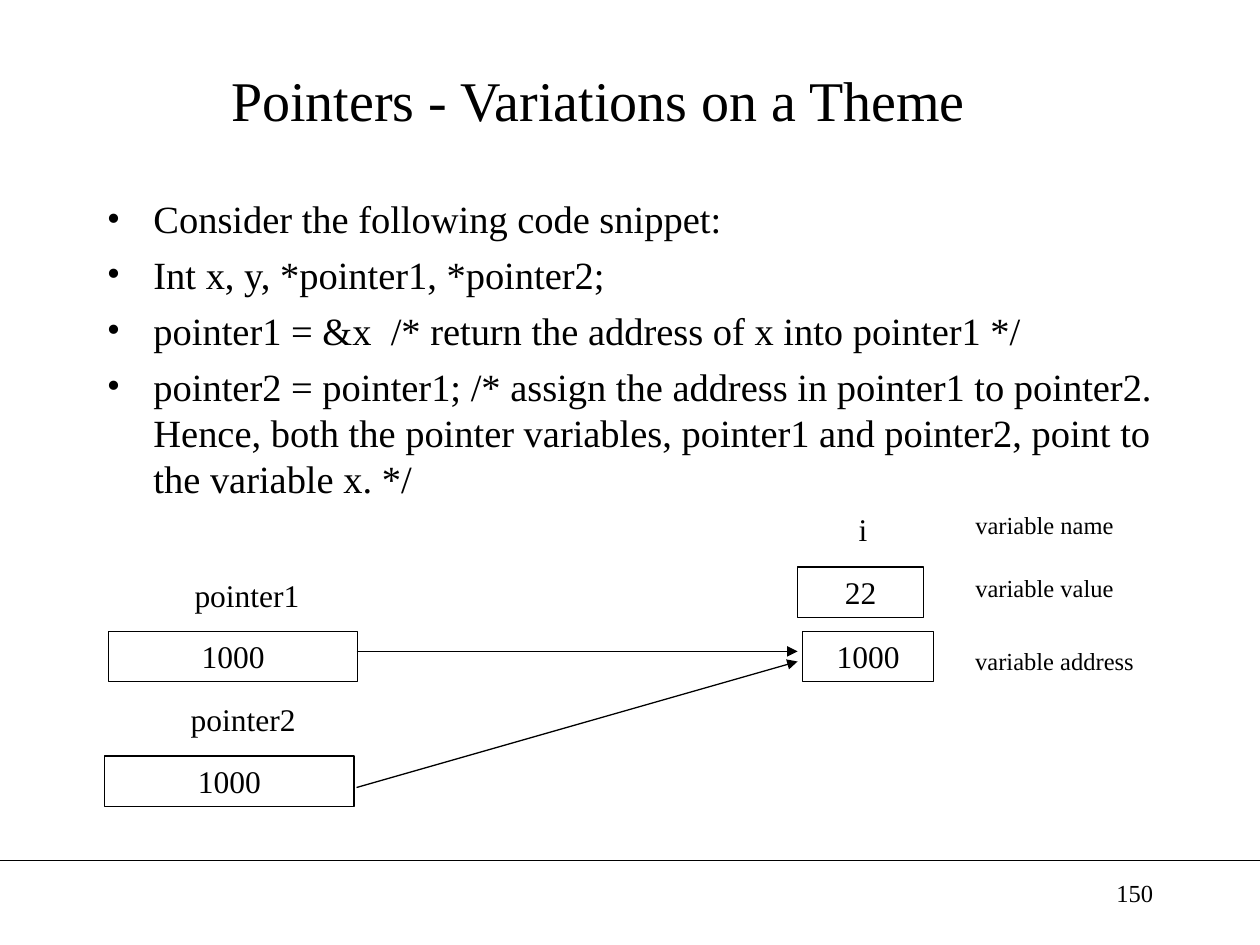
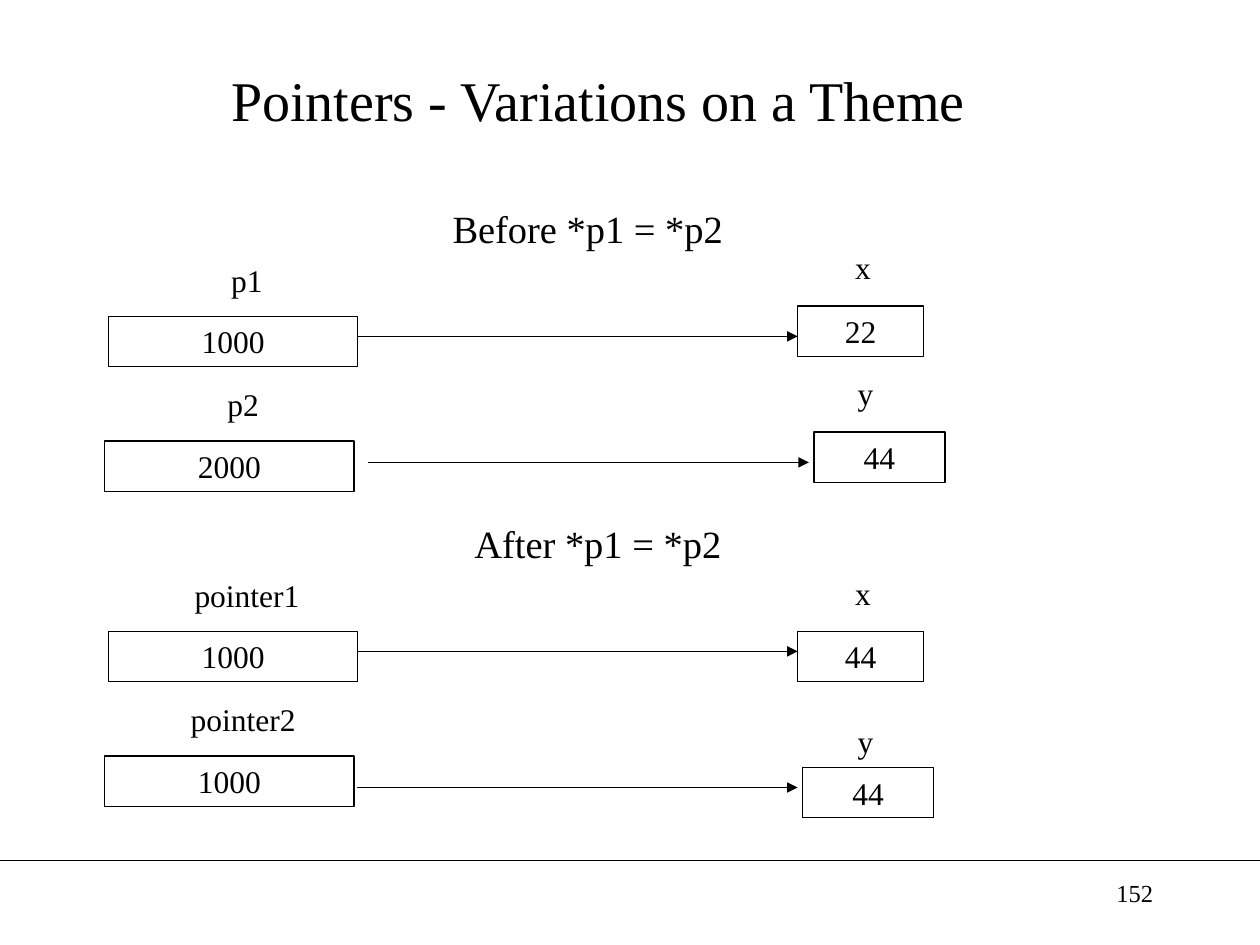
from pptx import Presentation
from pptx.dml.color import RGBColor
from pptx.enum.shapes import MSO_CONNECTOR, MSO_SHAPE
from pptx.enum.text import MSO_ANCHOR, PP_ALIGN
from pptx.oxml.ns import qn
from pptx.util import Inches, Pt
from lxml import etree

LINE = MSO_CONNECTOR.STRAIGHT
RECT = MSO_SHAPE.RECTANGLE
TOP, MIDDLE = MSO_ANCHOR.TOP, MSO_ANCHOR.MIDDLE
LEFT, CENTER, RIGHT = PP_ALIGN.LEFT, PP_ALIGN.CENTER, PP_ALIGN.RIGHT

# Shared style
FONT = "Times New Roman"
INK = "000000"
TITLE = "Pointers - Variations on a Theme"
TITLE_SIZE, BODY_SIZE, CELL_SIZE, NOTE_SIZE = 32, 22, 18, 14
CELL_H = 0.4
CELL_W = 1.98
HANG = 0.37

CODE = [
    "Consider the following code snippet:",
    "Int x, y, *pointer1, *pointer2;",
    "pointer1 = &x  /* return the address of x into pointer1 */",
    "pointer2 = pointer1; /* assign the address in pointer1 to pointer2. "
    "Hence, both the pointer variables, pointer1 and pointer2, "
    "point to the variable x. */",
]


def color(code):
    return RGBColor.from_string(code)


def box(at):
    return [Inches(n) for n in at]


def style(para, size, align):
    para.alignment = align
    para.font.name = FONT
    para.font.size = Pt(size)
    para.font.color.rgb = color(INK)


def fill_text(shape, text, size, align=CENTER, anchor=TOP):
    frame = shape.text_frame
    frame.word_wrap = True
    frame.vertical_anchor = anchor
    frame.text = text
    style(frame.paragraphs[0], size, align)


def add_text(slide, at, text, size, align=CENTER, anchor=TOP):
    shape = slide.shapes.add_textbox(*box(at))
    fill_text(shape, text, size, align, anchor)


def add_cell(slide, at, text):
    shape = slide.shapes.add_shape(RECT, *box(at))
    shape.shadow.inherit = False
    shape.fill.background()
    shape.line.color.rgb = color(INK)
    shape.line.width = Pt(0.75)
    fill_text(shape, text, CELL_SIZE, CENTER, MIDDLE)


def add_line(slide, start, end, arrow=False):
    line = slide.shapes.add_connector(LINE, *box(start + end))
    line.line.color.rgb = color(INK)
    line.line.width = Pt(0.75)
    props = line._element.spPr
    if arrow:
        etree.SubElement(props.find(qn("a:ln")), qn("a:tailEnd"), type="triangle")
    etree.SubElement(props, qn("a:effectLst"))


def add_name(slide, mid, top, width, text):
    add_text(slide, (mid - width / 2, top, width, CELL_H), text,
             CELL_SIZE, CENTER, MIDDLE)


def add_pointer(slide, left, top, name, value):
    add_name(slide, left + 1.1, top - 0.49, 1.78, name)
    add_cell(slide, (left, top, CELL_W, CELL_H), value)


def add_target(slide, left, top, width, value):
    add_cell(slide, (left, top, width, CELL_H), value)


def add_bullets(slide, at, items):
    frame = slide.shapes.add_textbox(*box(at)).text_frame
    frame.word_wrap = True
    for i, item in enumerate(items):
        para = frame.add_paragraph() if i else frame.paragraphs[0]
        para.text = item
        props = para._p.get_or_add_pPr()
        props.set("marL", str(Inches(HANG)))
        props.set("indent", str(-Inches(HANG)))
        etree.SubElement(props, qn("a:buFont"), typeface=FONT)
        etree.SubElement(props, qn("a:buChar"), char="•")
        style(para, BODY_SIZE, LEFT)
        if i:
            para.space_before = Pt(5.5)


def add_slide(deck, number):
    slide = deck.slides.add_slide(deck.slide_layouts[5])
    title = slide.shapes.title
    title.left, title.top, title.width, title.height = box((0.5, 0.25, 8.5, 1.08))
    fill_text(title, TITLE, TITLE_SIZE, CENTER, MIDDLE)
    # Footer rule and page number
    add_line(slide, (0, 6.83), (10, 6.83))
    add_text(slide, (7.17, 6.92, 2.08, 0.5), number, NOTE_SIZE, RIGHT)
    return slide


def add_share(deck):
    slide = add_slide(deck, "150")
    add_bullets(slide, (0.75, 1.5, 8.5, 2.5), CODE)

    # Variable with its name, value and address
    add_name(slide, 6.85, 4, 0.73, "i")
    add_target(slide, 6.33, 4.5, 1, "22")
    add_target(slide, 6.37, 5.01, 1.04, "1000")
    for left, top, part in ((7.5, 4, "name"), (7.5, 4.5, "value"),
                            (7.58, 5.08, "address")):
        add_text(slide, (left, top, 1.58, 0.34), f"variable {part}", NOTE_SIZE)

    # Two pointers to the same address
    add_pointer(slide, 0.86, 5.01, "pointer1", "1000")
    add_pointer(slide, 0.83, 6, "pointer2", "1000")
    add_line(slide, (2.83, 5.17), (6.33, 5.17), True)
    add_line(slide, (2.83, 6.25), (6.33, 5.25), True)


def add_copy(deck):
    slide = add_slide(deck, "152")
    add_text(slide, (2, 1.58, 5.33, 0.47), "Before *p1 = *p2", BODY_SIZE)
    add_text(slide, (2.08, 4.08, 5.33, 0.47), "After *p1 = *p2", BODY_SIZE)

    # Pointer cells: left, top, name, value
    for row in ((0.86, 2.51, "p1", "1000"), (0.83, 3.5, "p2", "2000"),
                (0.86, 5.01, "pointer1", "1000"), (0.83, 6, "pointer2", "1000")):
        add_pointer(slide, *row)

    # Variable names: middle, top, name
    for mid, top, name in ((6.85, 1.92, "x"), (6.87, 2.92, "y"),
                           (6.85, 4.51, "x"), (6.87, 5.68, "y")):
        add_name(slide, mid, top, 0.73, name)

    # Variable cells: left, top, width, value
    for row in ((6.33, 2.43, 1, "22"), (6.46, 3.43, 1.04, "44"),
                (6.33, 5.01, 1, "44"), (6.37, 6.09, 1.04, "44")):
        add_target(slide, *row)

    # Arrows from each pointer to its variable
    for left, top in ((2.83, 2.67), (2.92, 3.67), (2.83, 5.17), (2.83, 6.25)):
        add_line(slide, (left, top), (left + 3.5, top), True)


def main():
    deck = Presentation()
    deck.slide_width, deck.slide_height = Inches(10), Inches(7.5)
    add_share(deck)
    add_copy(deck)
    deck.save("out.pptx")


if __name__ == "__main__":
    main()
